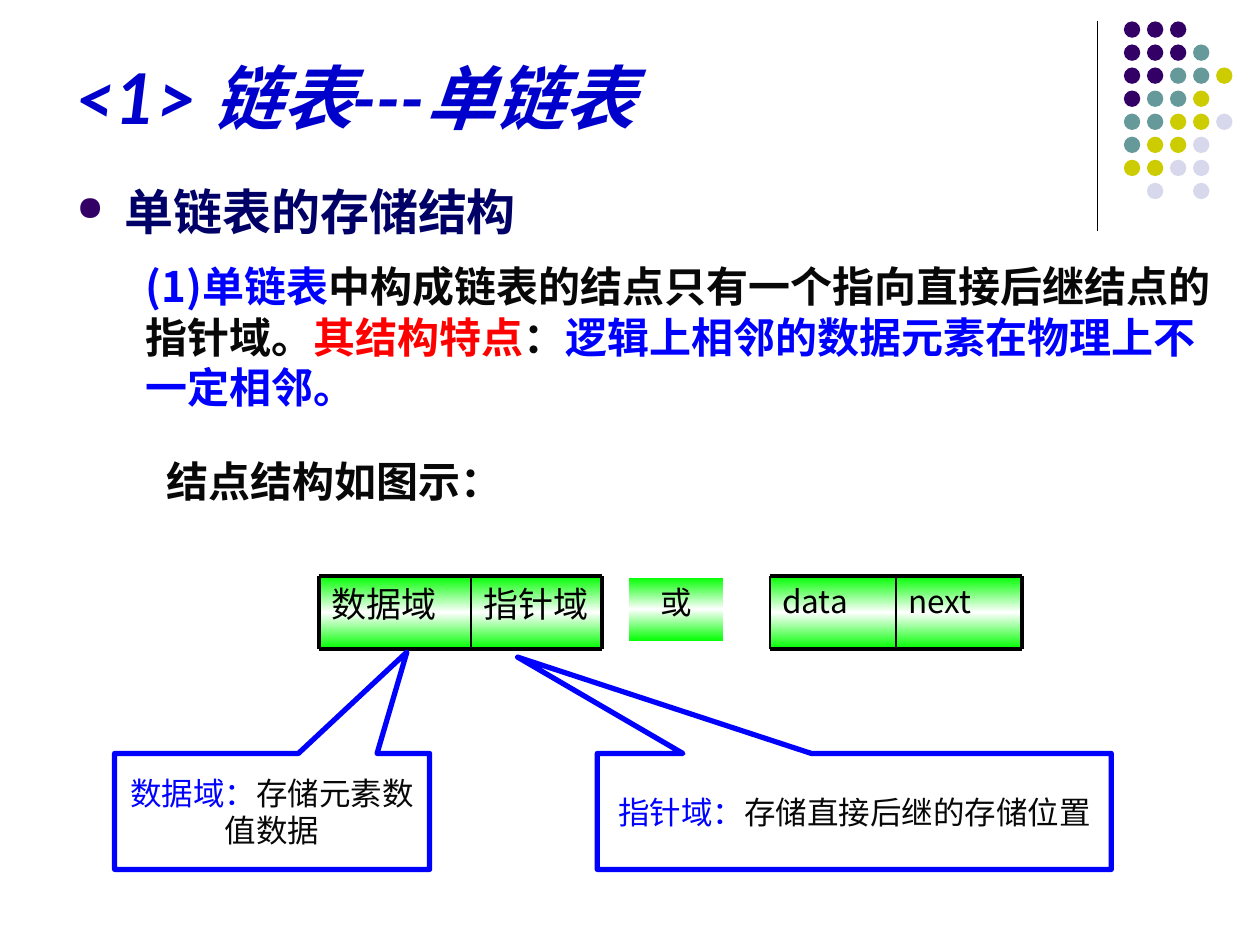
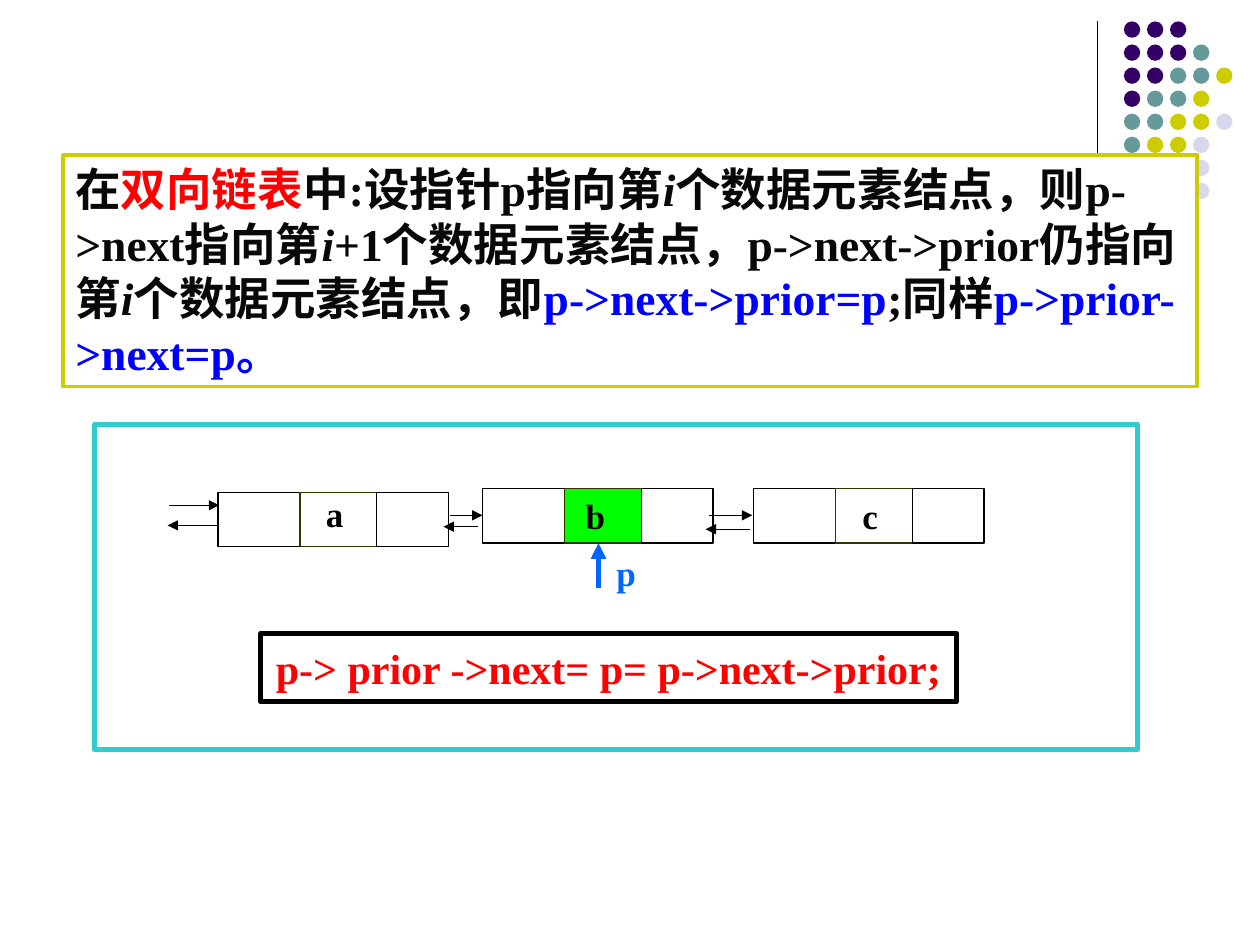
"""Build two slides on singly and doubly linked lists."""
from copy import deepcopy

from lxml import etree
from pptx import Presentation
from pptx.dml.color import RGBColor
from pptx.enum.shapes import MSO_CONNECTOR, MSO_SHAPE
from pptx.enum.text import MSO_ANCHOR, PP_ALIGN
from pptx.oxml.ns import qn
from pptx.util import Inches, Pt

RECTANGLE, OVAL = MSO_SHAPE.RECTANGLE, MSO_SHAPE.OVAL
CALLOUT = MSO_SHAPE.RECTANGULAR_CALLOUT
STRAIGHT = MSO_CONNECTOR.STRAIGHT
TOP, MIDDLE, BOTTOM = MSO_ANCHOR.TOP, MSO_ANCHOR.MIDDLE, MSO_ANCHOR.BOTTOM
LEFT, CENTER = PP_ALIGN.LEFT, PP_ALIGN.CENTER

COLORS = {
    "purple": "330066", "teal": "669999", "olive": "CCCC00", "lilac": "D8D8EC",
    "title": "0000CC", "navy": "000066", "ink": "080808", "black": "000000",
    "white": "FFFFFF", "blue": "0000FF", "red": "FF0000", "green": "00FF00",
    "aqua": "33CCCC", "moss": "333300", "sky": "0066FF",
}
SANS, SERIF, LATO = "Noto Sans CJK SC", "Times New Roman", "Lato"
LINE_HEIGHT = 1.2

DOT_ROWS = ["PPP", "PPPT", "PPTTY", "PTTY", "TTYYL", "TYYL", "YYLL", " L L"]
DOT_COLORS = {"P": "purple", "T": "teal", "Y": "olive", "L": "lilac"}
DOT_LEFT, DOT_TOP, DOT_PITCH, DOT_SIZE = 8.92, 0.17, 0.183, 0.13

TITLE = [("<1> 链表---单链表", "title")]
HEADING = [("单链表的存储结构", "navy")]
FEATURES = [
    ("(1)单链表", "blue"),
    ("中构成链表的结点只有一个指向直接后继结点的指针域。", "ink"),
    ("其结构特点", "red"), ("：", "ink"),
    ("逻辑上相邻的数据元素在物理上不一定相邻。", "blue"),
]
FIGURE_INTRO = [("结点结构如图示：", "ink")]
RECORDS = [
    {"fields": ("数据域", "指针域"), "edges": (2.53, 3.74, 4.78), "size": 20, "left_line": 2.25},
    {"fields": ("data", "next"), "edges": (6.11, 7.11, 8.11), "size": 18, "left_line": 1},
]
RECORD_TOP, RECORD_BOTTOM = 4.57, 5.15
CALLOUTS = [
    ((0.91, 5.98, 2.5, 0.92), (0.428, -1.375), "数据域：", "存储元素数值数据"),
    ((4.74, 5.98, 4.08, 0.92), (-0.655, -1.331), "指针域：", "存储直接后继的存储位置"),
]

RULE_BOX = (0.5, 1.23, 9, 1.84)
RULE = [
    ("在", "ink"), ("双向链表", "red"), ("中:设指针p指向第", "ink"), ("i", "ink", True),
    ("个数据元素结点，则p->next指向第", "ink"), ("i", "ink", True),
    ("+1个数据元素结点，p->next->prior仍指向第", "ink"), ("i", "ink", True),
    ("个数据元素结点，即", "ink"), ("p->next->prior=p", "blue"),
    (";同样", "ink"), ("p->prior->next=p。", "blue"),
]
NODES = [
    ("a", 1.73, 3.91, 2.48, 3.86, None),
    ("b", 3.83, 3.88, 4.55, 3.88, "green"),
    ("c", 5.98, 3.88, 6.73, 3.88, None),
]
CELL_WIDTHS, CELL_HEIGHT = (0.65, 0.61, 0.57), 0.43
CELL_LINES = ("black", "moss", "black")
ARROWS = [
    (1.34, 1.74, 4.01), (1.74, 1.33, 4.17), (3.57, 3.83, 4.09),
    (3.79, 3.52, 4.18), (5.63, 5.97, 4.09), (5.95, 5.6, 4.2),
]
IDENTITY = [("p-> prior ->next= p= p->next->prior;", "red")]


def color(name):
    return RGBColor.from_string(COLORS[name])


def add_box(page, area, kind=RECTANGLE, fill=None, line=None, weight=0.75):
    box = page.shapes.add_shape(kind, *map(Inches, area))
    box.shadow.inherit = False
    if fill:
        box.fill.solid()
        box.fill.fore_color.rgb = color(fill)
    else:
        box.fill.background()
    if line:
        box.line.color.rgb = color(line)
        box.line.width = Pt(weight)
    else:
        box.line.fill.background()
    return box


def write(box, spans, size, face, bold=False, italic=False, align=LEFT, anchor=TOP, wrap=True):
    frame = box.text_frame
    frame.word_wrap = wrap
    frame.vertical_anchor = anchor
    para = frame.paragraphs[0]
    para.alignment = align
    para.line_spacing = Pt(size * LINE_HEIGHT)
    para.font.size, para.font.bold, para.font.name = Pt(size), bold, face
    for text, tint, *slant in spans:
        span = para.add_run()
        span.text = text
        span.font.color.rgb = color(tint)
        span.font.italic = bool(slant) or italic
        east_asian = etree.SubElement(span._r.get_or_add_rPr(), qn("a:ea"))
        east_asian.set("typeface", SANS)
    return para


def add_text(page, area, spans, size, face, **style):
    return write(page.shapes.add_textbox(*map(Inches, area)), spans, size, face, **style)


def add_line(page, start, end, tint="black", weight=0.75, arrow=False):
    line = page.shapes.add_connector(STRAIGHT, *map(Inches, start + end))
    line.line.color.rgb = color(tint)
    line.line.width = Pt(weight)
    if arrow:
        etree.SubElement(line.line._get_or_add_ln(), qn("a:tailEnd")).set("type", "triangle")
    etree.SubElement(line._element.spPr, qn("a:effectLst"))


def add_glow_box(page, area, text, size, align=LEFT):
    box = add_box(page, area, line="white")
    box.fill.gradient()
    box.fill.gradient_angle = 90
    stop_list = box._element.spPr.find(".//" + qn("a:gsLst"))
    stop_list.insert(1, deepcopy(stop_list[0]))
    for stop, tint, position in zip(box.fill.gradient_stops, ("green", "white", "green"), (0, 0.5, 1)):
        stop.color.rgb = color(tint)
        stop.position = position
    write(box, [(text, "black")], size, SANS, align=align)


def add_bullet(para):
    properties = para._p.get_or_add_pPr()
    properties.set("marL", str(Inches(0.38)))
    properties.set("indent", str(-Inches(0.38)))
    tint = etree.SubElement(properties, qn("a:buClr"))
    etree.SubElement(tint, qn("a:srgbClr")).set("val", COLORS["purple"])
    etree.SubElement(properties, qn("a:buSzPct")).set("val", "70000")
    etree.SubElement(properties, qn("a:buChar")).set("char", "●")
    default = properties.find(qn("a:defRPr"))
    if default is not None:
        properties.append(default)


def add_page(deck, cover=None):
    page = deck.slides.add_slide(deck.slide_layouts[6])
    add_line(page, (8.71, 0.17), (8.71, 1.83))
    for row, letters in enumerate(DOT_ROWS):
        for column, letter in enumerate(letters):
            left, top = DOT_LEFT + column * DOT_PITCH, DOT_TOP + row * DOT_PITCH
            covered = cover and top > cover[1] and left + DOT_SIZE < cover[0] + cover[2]
            if letter in DOT_COLORS and not covered:
                add_box(page, (left, top, DOT_SIZE, DOT_SIZE), OVAL, DOT_COLORS[letter])
    return page


def add_record(page, record):
    edges = record["edges"]
    height = RECORD_BOTTOM - RECORD_TOP
    for text, left, right in zip(record["fields"], edges, edges[1:]):
        add_glow_box(page, (left, RECORD_TOP, right - left, height), text, record["size"])
    for level in (RECORD_TOP, RECORD_BOTTOM):
        add_line(page, (edges[0], level), (edges[-1], level), weight=2.25)
    for edge, weight in zip(edges, (record["left_line"], 1, 2.25)):
        add_line(page, (edge, RECORD_TOP), (edge, RECORD_BOTTOM), weight=weight)


def build_single_list(deck):
    page = add_page(deck)
    add_text(page, (0.5, 0.13, 8.21, 1.02), TITLE, 40, LATO, bold=True, italic=True, anchor=BOTTOM)
    add_bullet(add_text(page, (0.51, 1.39, 9, 5.12), HEADING, 28, LATO, bold=True))
    add_text(page, (1.06, 2.02, 8.85, 1.31), FEATURES, 24, SANS, bold=True)
    for record in RECORDS:
        add_record(page, record)
    add_glow_box(page, (4.99, 4.58, 0.75, 0.51), "或", 18, CENTER)
    for area, pointer, label, meaning in CALLOUTS:
        box = add_box(page, area, CALLOUT, line="blue", weight=3)
        box.adjustments[0], box.adjustments[1] = pointer
        write(box, [(label, "blue"), (meaning, "ink")], 18, SANS, align=CENTER, anchor=MIDDLE)
    add_text(page, (1.22, 3.57, 2.92, 0.5), FIGURE_INTRO, 24, SERIF, bold=True)


def build_double_list(deck):
    page = add_page(deck, RULE_BOX)
    label_style = {"bold": True, "align": CENTER, "anchor": MIDDLE, "wrap": False}
    write(add_box(page, RULE_BOX, fill="white", line="olive", weight=2), RULE, 26, SERIF, bold=True)
    add_box(page, (0.75, 3.37, 8.28, 2.58), fill="white", line="aqua", weight=3)
    for letter, left, top, label_left, label_top, fill in NODES:
        for index, (width, line) in enumerate(zip(CELL_WIDTHS, CELL_LINES)):
            cell_left = left + sum(CELL_WIDTHS[:index])
            add_box(page, (cell_left, top, width, CELL_HEIGHT), fill=fill if index == 1 else None, line=line)
        add_text(page, (label_left, label_top, 0.35, 0.43), [(letter, "black")], 20, SERIF, **label_style)
    for start, end, level in ARROWS:
        add_line(page, (start, level), (end, level), arrow=True)
    add_line(page, (4.75, 4.67), (4.75, 4.31), "sky", 3, arrow=True)
    add_text(page, (4.79, 4.33, 0.36, 0.43), [("p", "sky")], 20, SERIF, **label_style)
    identity = add_box(page, (2.07, 5.03, 5.52, 0.54), line="black", weight=3)
    write(identity, IDENTITY, 24, SERIF, **label_style)


deck = Presentation()
deck.slide_width, deck.slide_height = Inches(10), Inches(7.5)
build_single_list(deck)
build_double_list(deck)
deck.save("out.pptx")
